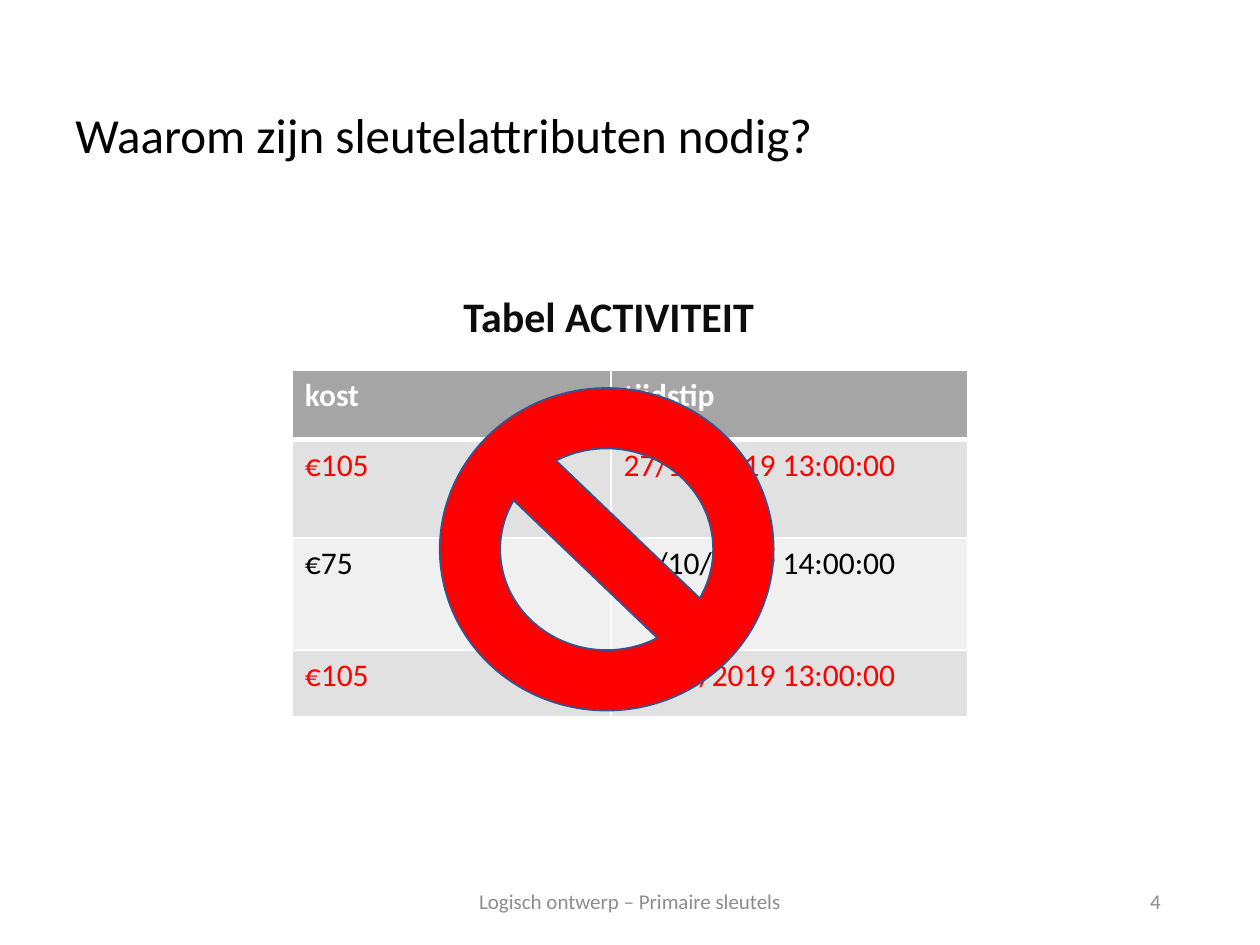
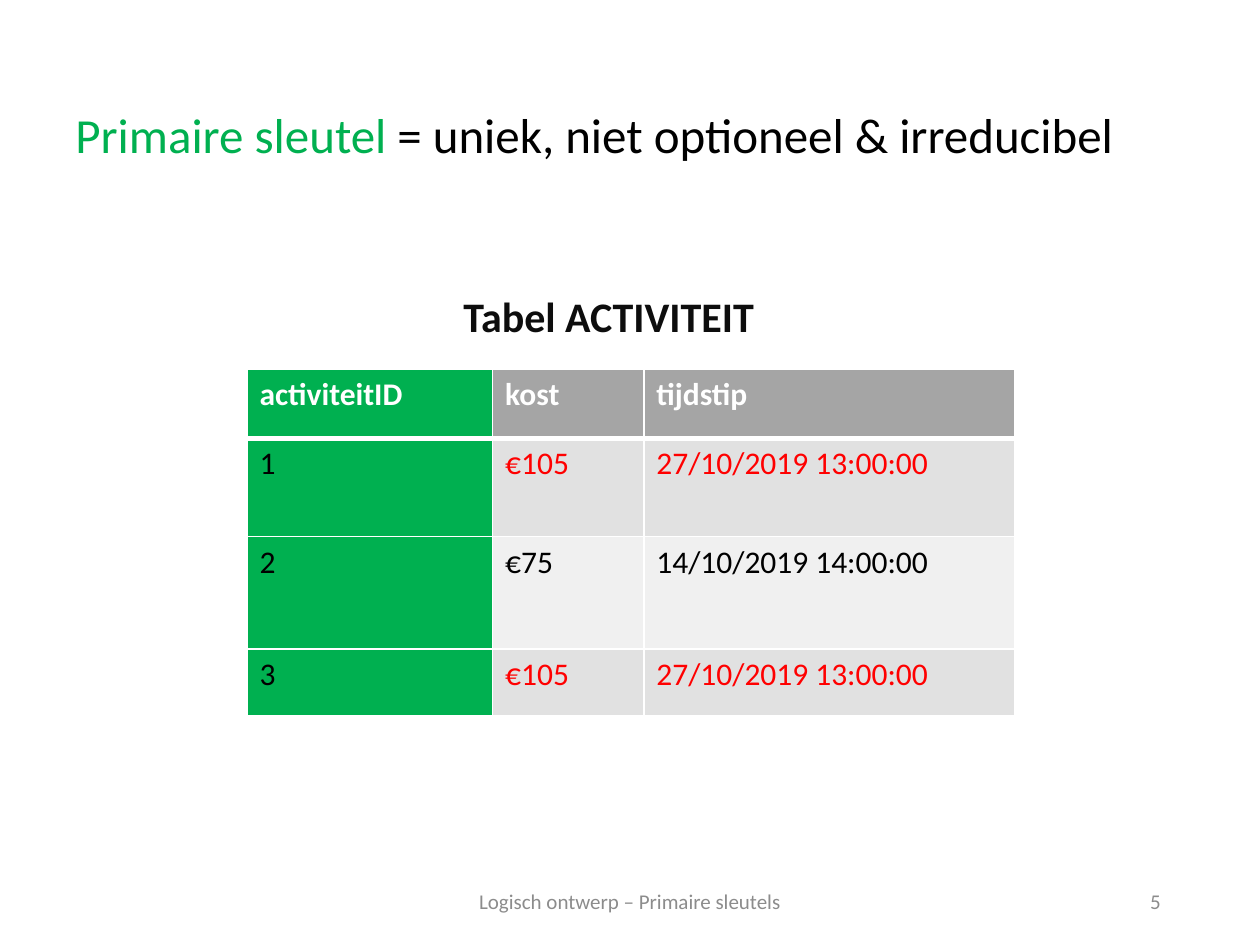
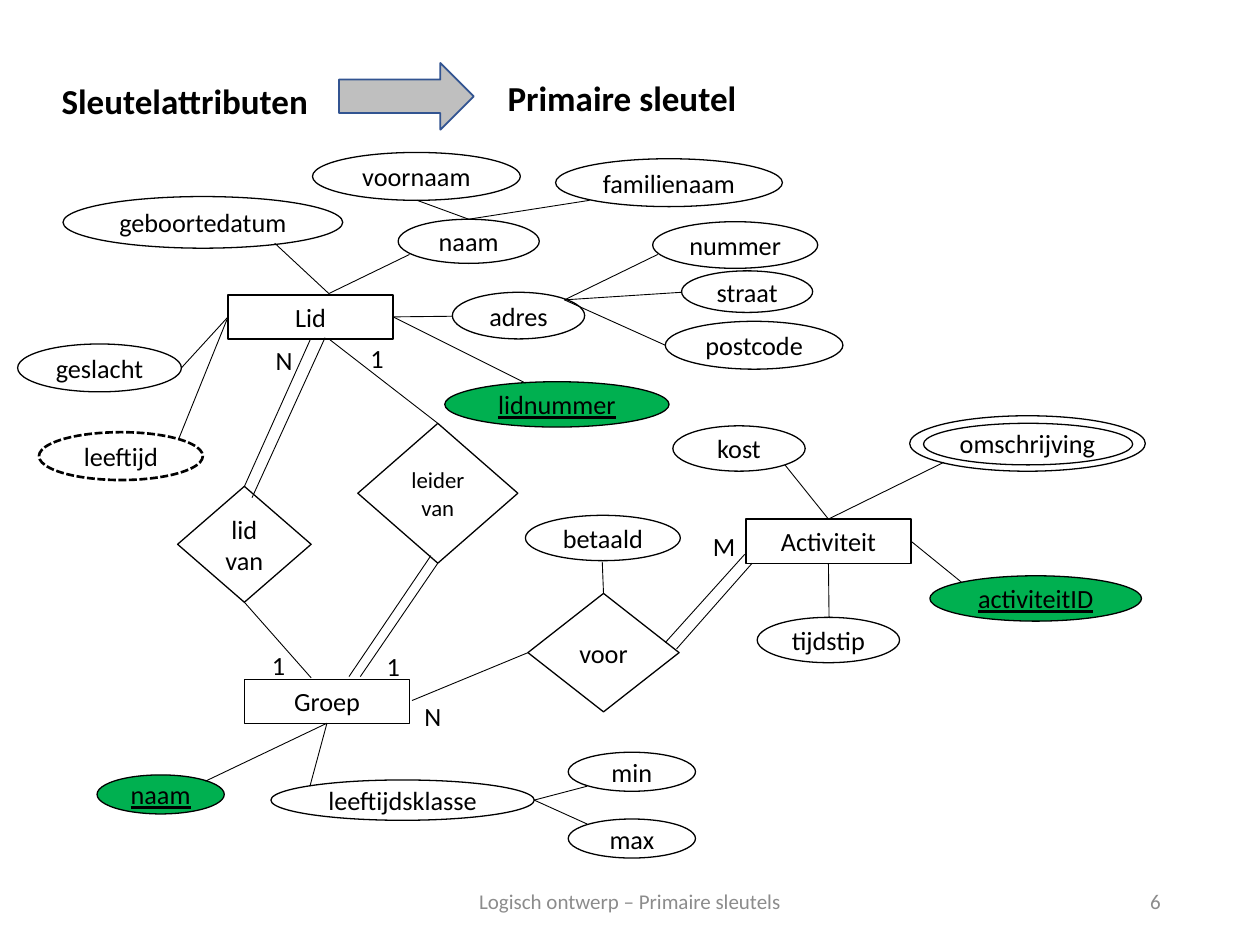
"""Build three slides on primary keys: two example tables and an entity diagram."""
from dataclasses import dataclass
from typing import NamedTuple, Optional, Union

import lxml.etree
import pptx
import pptx.dml.color
import pptx.enum.dml
import pptx.enum.shapes
import pptx.enum.text
import pptx.oxml.ns
import pptx.util

Inches = pptx.util.Inches
Pt = pptx.util.Pt
RGBColor = pptx.dml.color.RGBColor
Kind = pptx.enum.shapes.MSO_SHAPE
Align = pptx.enum.text.PP_ALIGN
Anchor = pptx.enum.text.MSO_ANCHOR
Dash = pptx.enum.dml.MSO_LINE
qn = pptx.oxml.ns.qn

FONT = "Calibri"
BLACK = RGBColor(0x00, 0x00, 0x00)
WHITE = RGBColor(0xFF, 0xFF, 0xFF)
RED = RGBColor(0xFF, 0x00, 0x00)
KEY_GREEN = RGBColor(0x00, 0xB0, 0x50)
CAPTION_BLACK = RGBColor(0x0D, 0x0D, 0x0D)
FOOTER_GRAY = RGBColor(0x8C, 0x8C, 0x8C)
HEADER_GRAY = RGBColor(0xA5, 0xA5, 0xA5)
ARROW_GRAY = RGBColor(0xBF, 0xBF, 0xBF)
OUTLINE_BLUE = RGBColor(0x32, 0x54, 0x91)
BAND_COLORS = (RGBColor(0xE1, 0xE1, 0xE1), RGBColor(0xF0, 0xF0, 0xF0))

FOOTER = "Logisch ontwerp – Primaire sleutels"
ROW_HEIGHTS = (0.55, 0.78, 0.89, 0.53)
COSTS = ("€105", "€75", "€105")
TIMES = ("27/10/2019 13:00:00", "14/10/2019 14:00:00", "27/10/2019 13:00:00")
TOP, LEFT, BOTTOM, RIGHT = range(4)


class Box(NamedTuple):
    """Place and size in inches."""

    left: float
    top: float
    width: float
    height: float


class Point(NamedTuple):
    """A free connector end in inches."""

    x: float
    y: float


class Joint(NamedTuple):
    """A connector end at the middle of a node's side."""

    node: str
    side: int


class Link(NamedTuple):
    """A straight line between two ends."""

    begin: Union[Point, Joint]
    end: Union[Point, Joint]


class Label(NamedTuple):
    """A cardinality beside a link."""

    text: str
    box: Box


@dataclass(frozen=True)
class Column:
    """One table column with its values."""

    header: str
    width: float
    values: tuple[str, ...]
    is_key: bool = False


@dataclass(frozen=True)
class Node:
    """An entity, relation or attribute of the diagram."""

    text: str
    box: Box
    kind: Kind = Kind.OVAL
    fill: Optional[RGBColor] = WHITE
    size: float = 15
    is_key: bool = False
    derived: bool = False


def entity(text: str, left: float, top: float) -> Node:
    """Describe an entity rectangle of the common size."""
    return Node(text, Box(left, top, 1.31, 0.35), Kind.RECTANGLE)


def key(text: str, box: Box) -> Node:
    """Describe a key attribute."""
    return Node(text, box, fill=KEY_GREEN, is_key=True)


NODES = (
    entity("Lid", 1.81, 2.34),
    entity("Groep", 1.94, 5.39),
    entity("Activiteit", 5.92, 4.12),
    Node("lid van", Box(1.41, 3.86, 1.06, 0.92), Kind.DIAMOND),
    Node("leider van", Box(2.84, 3.36, 1.27, 1.11), Kind.DIAMOND, size=13),
    Node("voor", Box(4.19, 4.71, 1.2, 0.94), Kind.DIAMOND),
    Node("straat", Box(5.41, 2.15, 1.04, 0.33)),
    Node("nummer", Box(5.18, 1.76, 1.31, 0.37)),
    Node("postcode", Box(5.28, 2.55, 1.41, 0.38)),
    Node("adres", Box(3.59, 2.32, 1.05, 0.37), fill=None),
    Node("geslacht", Box(0.14, 2.73, 1.3, 0.38)),
    Node("leeftijd", Box(0.31, 3.43, 1.3, 0.38), fill=None, derived=True),
    Node("leeftijdsklasse", Box(2.15, 6.19, 2.09, 0.32), fill=None),
    Node("min", Box(4.51, 5.97, 1.01, 0.31)),
    Node("max", Box(4.51, 6.5, 1.01, 0.31)),
    Node("betaald", Box(4.17, 4.09, 1.23, 0.36)),
    Node("kost", Box(5.34, 3.38, 1.05, 0.36)),
    Node("tijdstip", Box(6.01, 4.9, 1.13, 0.36)),
    Node("omschrijving", Box(7.22, 3.3, 1.87, 0.44), fill=None),
    Node("", Box(7.33, 3.36, 1.66, 0.33), fill=None),
    Node("naam", Box(3.16, 1.74, 1.12, 0.35)),
    Node("geboortedatum", Box(0.5, 1.56, 2.22, 0.41), fill=None),
    Node("voornaam", Box(2.48, 1.21, 1.65, 0.38)),
    Node("familienaam", Box(4.41, 1.26, 1.8, 0.38)),
    key("naam", Box(0.77, 6.15, 1.01, 0.31)),
    key("activiteitID", Box(7.38, 4.57, 1.68, 0.36)),
    key("lidnummer", Box(3.53, 3.03, 1.78, 0.36)),
)

ADDRESS_END = Point(4.48, 2.38)
NAME_END = Point(3.72, 1.74)
AGE_CLASS_END = Point(4.24, 6.35)
MEMBER_TOP = Point(2.61, 2.33)

LINKS = (
    Link(Point(5.41, 2.32), ADDRESS_END),
    Link(Point(5.28, 2.74), ADDRESS_END),
    Link(Point(5.22, 2.02), ADDRESS_END),
    Link(Joint("Lid", RIGHT), Point(3.59, 2.51)),
    Link(Point(4.17, 3.04), Joint("Lid", RIGHT)),
    Link(Point(1.44, 2.92), Joint("Lid", LEFT)),
    Link(Point(1.42, 3.48), Joint("Lid", LEFT)),
    Link(Point(3.25, 2.02), MEMBER_TOP),
    Link(Point(2.18, 1.93), MEMBER_TOP),
    Link(Point(3.31, 1.59), NAME_END),
    Link(Point(4.68, 1.59), NAME_END),
    Link(Joint("lid van", TOP), Joint("Lid", BOTTOM)),
    Link(Point(2, 3.95), Point(2.58, 2.68)),
    Link(Point(2.47, 5.38), Joint("lid van", BOTTOM)),
    Link(Point(2.61, 2.69), Joint("leider van", TOP)),
    Link(Joint("leider van", BOTTOM), Point(2.86, 5.37)),
    Link(Point(3.42, 4.41), Point(2.77, 5.37)),
    Link(Joint("Groep", BOTTOM), Point(1.63, 6.2)),
    Link(Point(2.46, 6.24), Joint("Groep", BOTTOM)),
    Link(Point(4.66, 6.24), AGE_CLASS_END),
    Link(Point(4.66, 6.54), AGE_CLASS_END),
    Link(Joint("voor", LEFT), Point(3.27, 5.56)),
    Link(Point(4.78, 4.46), Joint("voor", TOP)),
    Link(Point(5.97, 4.47), Point(5.37, 5.15)),
    Link(Point(5.91, 4.4), Point(5.28, 5.1)),
    Link(Point(7.49, 3.67), Joint("Activiteit", TOP)),
    Link(Point(6.23, 3.69), Joint("Activiteit", TOP)),
    Link(Point(6.58, 4.9), Joint("Activiteit", BOTTOM)),
    Link(Point(7.63, 4.62), Joint("Activiteit", RIGHT)),
)

LABELS = (
    Label("N", Box(2.09, 2.68, 0.33, 0.35)),
    Label("1", Box(2.84, 2.67, 0.31, 0.35)),
    Label("1", Box(2.06, 5.1, 0.31, 0.35)),
    Label("1", Box(2.97, 5.11, 0.31, 0.35)),
    Label("N", Box(3.27, 5.51, 0.5, 0.35)),
    Label("M", Box(5.56, 4.16, 0.49, 0.35)),
)


def inches(values) -> list:
    """Convert numbers to lengths."""
    return [Inches(value) for value in values]


def write(text_frame, text: str, *, size: float, color: RGBColor = BLACK,
          bold: bool = False, underline: bool = False,
          align: Align = Align.LEFT) -> None:
    """Append one formatted run to the first paragraph."""
    paragraph = text_frame.paragraphs[0]
    paragraph.alignment = align
    run = paragraph.add_run()
    run.text = text
    run.font.name = FONT
    run.font.size = Pt(size)
    run.font.color.rgb = color
    run.font.bold = bold
    run.font.underline = underline


def add_text(slide, text: str, box: Box, *, anchor: Anchor = Anchor.TOP, **text_format):
    """Add a wrapping text box and return its text frame."""
    text_frame = slide.shapes.add_textbox(*inches(box)).text_frame
    text_frame.word_wrap = True
    text_frame.vertical_anchor = anchor
    write(text_frame, text, **text_format)
    return text_frame


def add_shape(slide, kind: Kind, box: Box, fill: Optional[RGBColor],
              line: RGBColor, line_width: float):
    """Add a preset shape without shadow."""
    shape = slide.shapes.add_shape(kind, *inches(box))
    shape.shadow.inherit = False
    if fill is None:
        shape.fill.background()
    else:
        shape.fill.solid()
        shape.fill.fore_color.rgb = fill
    shape.line.color.rgb = line
    shape.line.width = Pt(line_width)
    return shape


def add_node(slide, node: Node):
    """Draw one diagram node."""
    shape = add_shape(slide, node.kind, node.box, node.fill, BLACK,
                      1.5 if node.derived else 0.75)
    if node.derived:
        shape.line.dash_style = Dash.SQUARE_DOT
    if node.text:
        text_frame = shape.text_frame
        text_frame.word_wrap = node.kind == Kind.DIAMOND
        is_entity = node.kind == Kind.RECTANGLE
        text_frame.vertical_anchor = Anchor.TOP if is_entity else Anchor.MIDDLE
        write(text_frame, node.text, size=node.size, underline=node.is_key,
              align=Align.CENTER)
    return shape


def add_link(slide, link: Link, shapes: dict) -> None:
    """Draw one connector, joined to nodes where its ends say so."""
    points = [Point(0, 0) if isinstance(end, Joint) else end for end in link]
    connector = slide.shapes.add_connector(
        pptx.enum.shapes.MSO_CONNECTOR.STRAIGHT, *inches(points[0] + points[1]))
    for end, connect in zip(link, (connector.begin_connect, connector.end_connect)):
        if isinstance(end, Joint):
            connect(shapes[end.node], end.side)
    connector.line.color.rgb = BLACK
    connector.line.width = Pt(0.5)
    lxml.etree.SubElement(connector._element.spPr, qn("a:effectLst"))


def add_borders(cell, top: float, bottom: float) -> None:
    """Give a cell white borders, with top and bottom widths in points."""
    properties = cell._tc.get_or_add_tcPr()
    for tag, width in (("a:lnL", 1), ("a:lnR", 1), ("a:lnT", top), ("a:lnB", bottom)):
        line = lxml.etree.SubElement(properties, qn(tag), w=str(Pt(width)))
        fill = lxml.etree.SubElement(line, qn("a:solidFill"))
        lxml.etree.SubElement(fill, qn("a:srgbClr"), val=str(WHITE))


def add_activity_table(slide, left: float, top: float, columns: tuple[Column, ...]) -> None:
    """Draw the activity table, with indistinguishable rows in red."""
    box = Box(left, top, sum(column.width for column in columns), sum(ROW_HEIGHTS))
    table = slide.shapes.add_table(len(ROW_HEIGHTS), len(columns), *inches(box)).table
    for row, height in zip(table.rows, ROW_HEIGHTS):
        row.height = Inches(height)
    for column_index, column in enumerate(columns):
        table.columns[column_index].width = Inches(column.width)
        for row_index, text in enumerate((column.header, *column.values)):
            cell = table.cell(row_index, column_index)
            is_header = row_index == 0
            add_borders(cell, 3 if row_index == 1 else 1, 3 if is_header else 1)
            if column.is_key:
                fill = KEY_GREEN
            else:
                fill = HEADER_GRAY if is_header else BAND_COLORS[(row_index - 1) % 2]
            cell.fill.solid()
            cell.fill.fore_color.rgb = fill
            repeated = column.values.count(text) > 1
            color = WHITE if is_header else RED if repeated else BLACK
            write(cell.text_frame, text, size=18, color=color, bold=is_header)


def add_title(slide, text: str, color: RGBColor = BLACK):
    """Add the slide title and return its text frame."""
    return add_text(slide, text, Box(0.5, 0.78, 8.65, 0.57), size=28, color=color)


def add_caption(slide) -> None:
    """Add the caption above the table."""
    add_text(slide, "Tabel ACTIVITEIT", Box(3.58, 2.26, 2.85, 0.5), size=24,
             color=CAPTION_BLACK, bold=True)


def add_slide(presentation, number: int):
    """Add a blank slide with footer and number."""
    slide = presentation.slides.add_slide(presentation.slide_layouts[6])
    for text, box, align in (
        (str(number), Box(7.06, 6.95, 2.25, 0.4), Align.RIGHT),
        (FOOTER, Box(3.31, 6.95, 3.38, 0.4), Align.CENTER),
    ):
        add_text(slide, text, box, anchor=Anchor.MIDDLE, size=12,
                 color=FOOTER_GRAY, align=align)
    return slide


def build_missing_key_slide(presentation) -> None:
    """Show a table without a key, struck out."""
    slide = add_slide(presentation, 4)
    add_title(slide, "Waarom zijn sleutelattributen nodig?")
    add_caption(slide)
    add_activity_table(slide, 2.32, 2.94, (
        Column("kost", 2.53, COSTS),
        Column("tijdstip", 2.83, TIMES),
    ))
    add_shape(slide, Kind.NO_SYMBOL, Box(3.49, 3.08, 2.65, 2.56), RED, OUTLINE_BLUE, 1)


def build_primary_key_slide(presentation) -> None:
    """Show the same table with its primary key."""
    slide = add_slide(presentation, 5)
    title = add_title(slide, "Primaire sleutel ", KEY_GREEN)
    write(title, "= uniek, niet optioneel & irreducibel", size=28)
    add_caption(slide)
    add_activity_table(slide, 1.96, 2.93, (
        Column("activiteitID", 1.95, ("1", "2", "3"), is_key=True),
        Column("kost", 1.2, COSTS),
        Column("tijdstip", 2.94, TIMES),
    ))


def build_diagram_slide(presentation) -> None:
    """Show the entity diagram with its primary keys."""
    slide = add_slide(presentation, 6)
    shapes = {node.text: add_node(slide, node) for node in NODES}
    for link in LINKS:
        add_link(slide, link, shapes)
    for label in LABELS:
        add_text(slide, label.text, label.box, size=15)
    add_shape(slide, Kind.RIGHT_ARROW, Box(2.69, 0.5, 1.07, 0.53),
              ARROW_GRAY, OUTLINE_BLUE, 1)
    add_text(slide, "Sleutelattributen", Box(0.39, 0.58, 2.66, 0.44), size=20, bold=True)
    add_text(slide, "Primaire sleutel", Box(3.93, 0.56, 2.1, 0.44), size=20, bold=True)


def main() -> None:
    """Build and save the presentation."""
    presentation = pptx.Presentation()
    presentation.slide_width = Inches(10)
    presentation.slide_height = Inches(7.5)
    build_missing_key_slide(presentation)
    build_primary_key_slide(presentation)
    build_diagram_slide(presentation)
    presentation.save("out.pptx")


if __name__ == "__main__":
    main()
